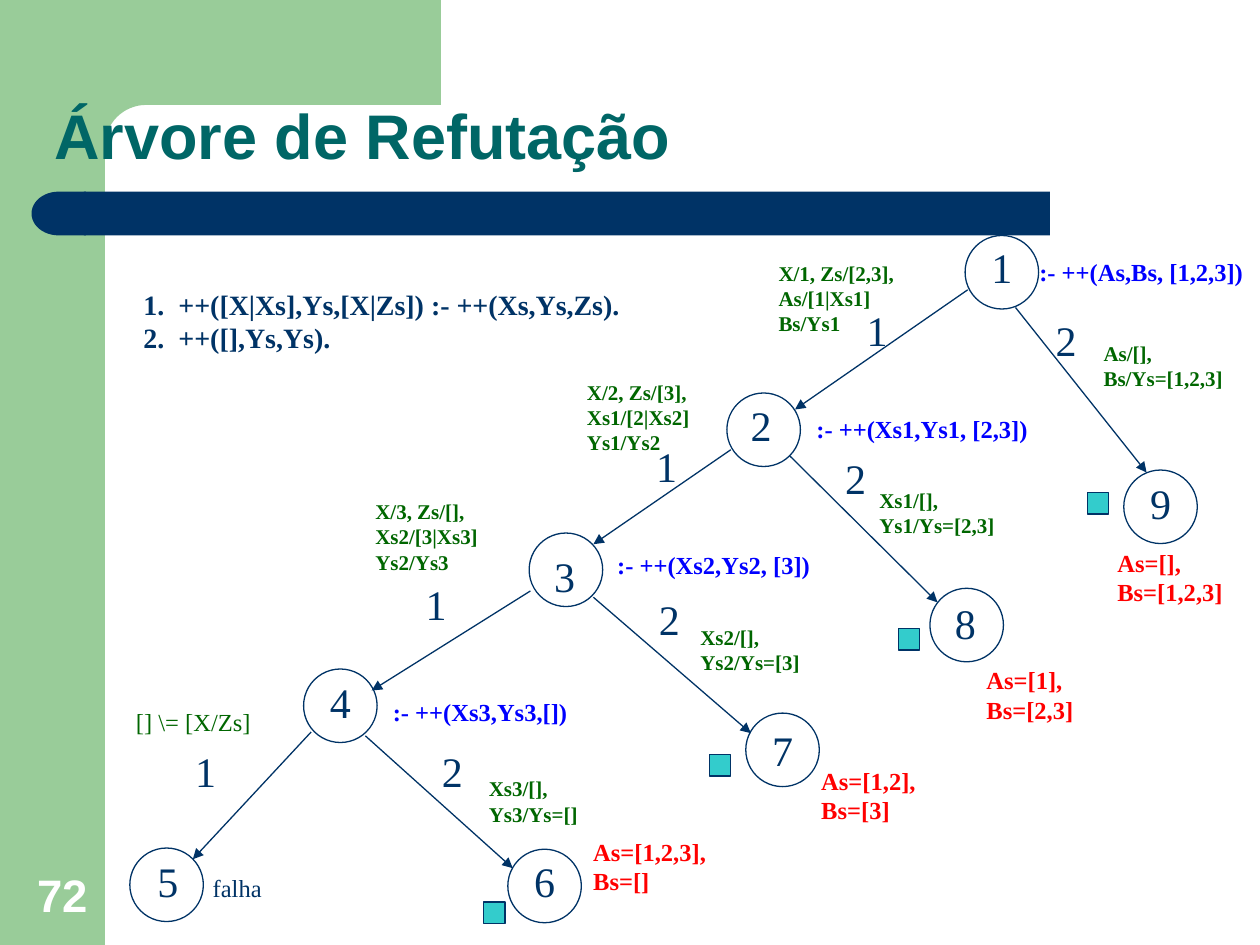
from dataclasses import dataclass
from math import cos, pi, sin

from lxml.etree import SubElement
from pptx import Presentation
from pptx.dml.color import RGBColor
from pptx.enum.shapes import MSO_CONNECTOR as Connector, MSO_SHAPE as Preset
from pptx.enum.text import MSO_ANCHOR as Anchor, MSO_AUTO_SIZE as AutoSize, PP_ALIGN as Align
from pptx.oxml.ns import qn
from pptx.shapes.base import BaseShape
from pptx.slide import Slide
from pptx.text.text import TextFrame
from pptx.util import Pt

COLORS = {
    "band": "99CC99", "navy": "003366", "title": "006666", "white": "FFFFFF",
    "goal": "0000FF", "binding": "006600", "answer": "FF0000", "box": "33CCCC",
}
NODE_SIZE = 42
BOX_SIZE = 12.2
SERIF = "Times New Roman"


@dataclass(frozen=True)
class Style:
    size: float
    color: str
    bold: bool = True
    font: str = SERIF


@dataclass(frozen=True)
class Node:
    number: str
    left: float
    top: float
    label_left: float
    label_top: float


@dataclass(frozen=True)
class Edge:
    start: tuple[float, float]
    end: tuple[float, float]
    clause: str
    label: tuple[float, float]


@dataclass(frozen=True)
class Label:
    left: float
    top: float
    width: float
    style: Style
    lines: tuple[str, ...]


DIGIT = Style(24, "navy", False)
RULE = Style(16, "navy")
GOAL = Style(14, "goal")
BINDING = Style(12, "binding")
ANSWER = Style(14, "answer")
TITLE = Style(36, "title", font="Arial")
PAGE = Style(26, "white", font="Arial")

NODES = [
    Node("1", 551.5, 134.6, 559.4, 134.6),
    Node("2", 415.4, 224.6, 421.9, 224.6),
    Node("3", 302.4, 304.6, 309.6, 311),
    Node("4", 173.5, 382.3, 181.4, 383),
    Node("5", 74.2, 484.6, 82.8, 485.3),
    Node("6", 290.2, 485.3, 298.1, 485.3),
    Node("7", 426.2, 407.5, 434.2, 410.4),
    Node("8", 531.4, 336.2, 538.6, 337.7),
    Node("9", 642.2, 268.6, 650.2, 269.3),
]
EDGES = [
    Edge((553, 165.6), (454.3, 234), "1", (488.2, 170.6)),
    Edge((417.6, 257), (339.1, 311), "1", (367.9, 248.4)),
    Edge((303.1, 337.7), (212.4, 394.6), "1", (236.2, 326.9)),
    Edge((177.8, 418.3), (110.2, 491), "1", (104.4, 422.6)),
    Edge((208.8, 420.5), (293, 496.1), "2", (245.5, 422.6)),
    Edge((339.1, 341.3), (429.1, 419), "2", (369.4, 335.5)),
    Edge((451.4, 260.6), (535.7, 344.2), "2", (475.9, 254.9)),
    Edge((580.3, 175.7), (655.2, 270), "2", (596.2, 176.4)),
]
LABELS = [
    Label(586.8, 143.3, 133, GOAL, (":- ++(As,Bs, [1,2,3])",)),
    Label(459.4, 233.3, 140, GOAL, (":- ++(Xs1,Ys1, [2,3])",)),
    Label(345.6, 311, 130, GOAL, (":- ++(Xs2,Ys2, [3])",)),
    Label(217.4, 394.6, 119, GOAL, (":- ++(Xs3,Ys3,[])",)),
    Label(437.8, 145.4, 91, BINDING, ("X/1, Zs/[2,3],", "As/[1|Xs1]", "Bs/Ys1")),
    Label(328.3, 213.1, 82, BINDING, ("X/2, Zs/[3],", "Xs1/[2|Xs2]", "Ys1/Ys2")),
    Label(207.4, 281.5, 78, BINDING, ("X/3, Zs/[],", "Xs2/[3|Xs3]", "Ys2/Ys3")),
    Label(114.5, 495.4, 47, Style(14, "navy", False), ("falha",)),
    Label(331.9, 474.5, 83, ANSWER, ("As=[1,2,3],", "Bs=[]")),
    Label(462.2, 434.2, 73, ANSWER, ("As=[1,2],", "Bs=[3]")),
    Label(556.6, 376.6, 69, ANSWER, ("As=[1],", "Bs=[2,3]")),
    Label(631.4, 309.6, 79, ANSWER, ("As=[],", "Bs=[1,2,3]")),
    Label(70.6, 400.3, 85, Style(14, "binding", False), ("[] \\= [X/Zs]",)),
    Label(272.2, 439.9, 70, BINDING, ("Xs3/[],", "Ys3/Ys=[]")),
    Label(393.1, 353.5, 76, BINDING, ("Xs2/[],", "Ys2/Ys=[3]")),
    Label(495.4, 275, 85, BINDING, ("Xs1/[],", "Ys1/Ys=[2,3]")),
    Label(623.5, 190.8, 87, BINDING, ("As/[],", "Bs/Ys=[1,2,3]")),
]
EMPTY_CLAUSES = [(276.5, 515.5), (405.4, 431.3), (513.4, 359.3), (621.4, 281.5)]


def rgb(name: str) -> RGBColor:
    return RGBColor.from_string(COLORS[name])


def paint(shape: BaseShape, fill: str | None, line: str | None = None) -> None:
    shape.shadow.inherit = False
    if fill:
        shape.fill.solid()
        shape.fill.fore_color.rgb = rgb(fill)
    else:
        shape.fill.background()
    if line:
        shape.line.color.rgb = rgb(line)
        shape.line.width = Pt(0.75)
    else:
        shape.line.fill.background()


def add_preset(slide: Slide, preset: Preset, left: float, top: float, width: float,
               height: float, fill: str | None, line: str | None = None) -> BaseShape:
    shape = slide.shapes.add_shape(preset, Pt(left), Pt(top), Pt(width), Pt(height))
    paint(shape, fill, line)
    return shape


def add_text(slide: Slide, label: Label, height: float | None = None) -> TextFrame:
    text_height = height or len(label.lines) * label.style.size * 1.2 + 7.2
    shape = slide.shapes.add_textbox(Pt(label.left), Pt(label.top), Pt(label.width), Pt(text_height))
    frame = shape.text_frame
    frame.word_wrap = True
    frame.auto_size = AutoSize.NONE
    frame.vertical_anchor = Anchor.BOTTOM if height else Anchor.TOP
    for index, line in enumerate(label.lines):
        paragraph = frame.add_paragraph() if index else frame.paragraphs[0]
        run = paragraph.add_run()
        run.text = line
        run.font.name = label.style.font
        run.font.size = Pt(label.style.size)
        run.font.bold = label.style.bold
        run.font.color.rgb = rgb(label.style.color)
    return frame


def add_digit(slide: Slide, digit: str, left: float, top: float) -> None:
    add_text(slide, Label(left, top, 30, DIGIT, (digit,)))


def add_edge(slide: Slide, edge: Edge) -> None:
    points = [Pt(value) for value in (*edge.start, *edge.end)]
    connector = slide.shapes.add_connector(Connector.STRAIGHT, *points)
    connector.line.color.rgb = rgb("navy")
    connector.line.width = Pt(0.75)
    SubElement(connector.line._get_or_add_ln(), qn("a:tailEnd"), type="triangle")
    SubElement(connector._element.spPr, qn("a:effectLst"))


def add_backdrop(slide: Slide) -> None:
    add_preset(slide, Preset.RECTANGLE, 0, 0, 60, 540, "band")
    radius, steps = 23.5, 16
    angles = [pi / 2 * step / steps for step in range(steps + 1)]
    arc = [(60 + radius * (1 - sin(angle)), 60 + radius * (1 - cos(angle))) for angle in angles]
    outline = [(252, 60), *arc, (60, 92), (36, 92), (36, 0)]
    builder = slide.shapes.build_freeform(Pt(252), 0)
    builder.add_line_segments([(Pt(x), Pt(y)) for x, y in outline], close=True)
    paint(builder.convert_to_shape(), "band")
    bar = add_preset(slide, Preset.ROUNDED_RECTANGLE, 48, 109.5, 552, 25, "navy")
    bar.adjustments[0] = 0
    cap = add_preset(slide, Preset.FLOWCHART_DELAY, 18, 109.5, 31, 25, "navy")
    cap.rotation = 180


def add_rules(slide: Slide) -> None:
    lines = ("++([X|Xs],Ys,[X|Zs]) :- ++(Xs,Ys,Zs).", "++([],Ys,Ys).")
    frame = add_text(slide, Label(74.9, 160.6, 296, RULE, lines))
    for paragraph in frame.paragraphs:
        properties = paragraph._p.get_or_add_pPr()
        properties.set("marL", str(Pt(20)))
        properties.set("indent", str(-Pt(20)))
        SubElement(properties, qn("a:buFont"), typeface=SERIF)
        SubElement(properties, qn("a:buAutoNum"), type="arabicPeriod")


def main() -> None:
    presentation = Presentation()
    presentation.slide_width, presentation.slide_height = Pt(720), Pt(540)
    slide = presentation.slides.add_slide(presentation.slide_layouts[6])
    add_backdrop(slide)
    page = add_text(slide, Label(6, 492, 60, PAGE, ("72",)), 38)
    page.paragraphs[0].alignment = Align.CENTER
    add_rules(slide)
    for node in NODES:
        add_preset(slide, Preset.OVAL, node.left, node.top, NODE_SIZE, NODE_SIZE, None, "navy")
        add_digit(slide, node.number, node.label_left, node.label_top)
    for edge in EDGES:
        add_edge(slide, edge)
        add_digit(slide, edge.clause, *edge.label)
    for label in LABELS:
        add_text(slide, label)
    for left, top in EMPTY_CLAUSES:
        add_preset(slide, Preset.RECTANGLE, left, top, BOX_SIZE, BOX_SIZE, "box", "navy")
    title = add_text(slide, Label(24, 24, 672, TITLE, ("Árvore de Refutação",)), 78.5)
    title.paragraphs[0].line_spacing = 0.9
    presentation.save("out.pptx")


if __name__ == "__main__":
    main()
